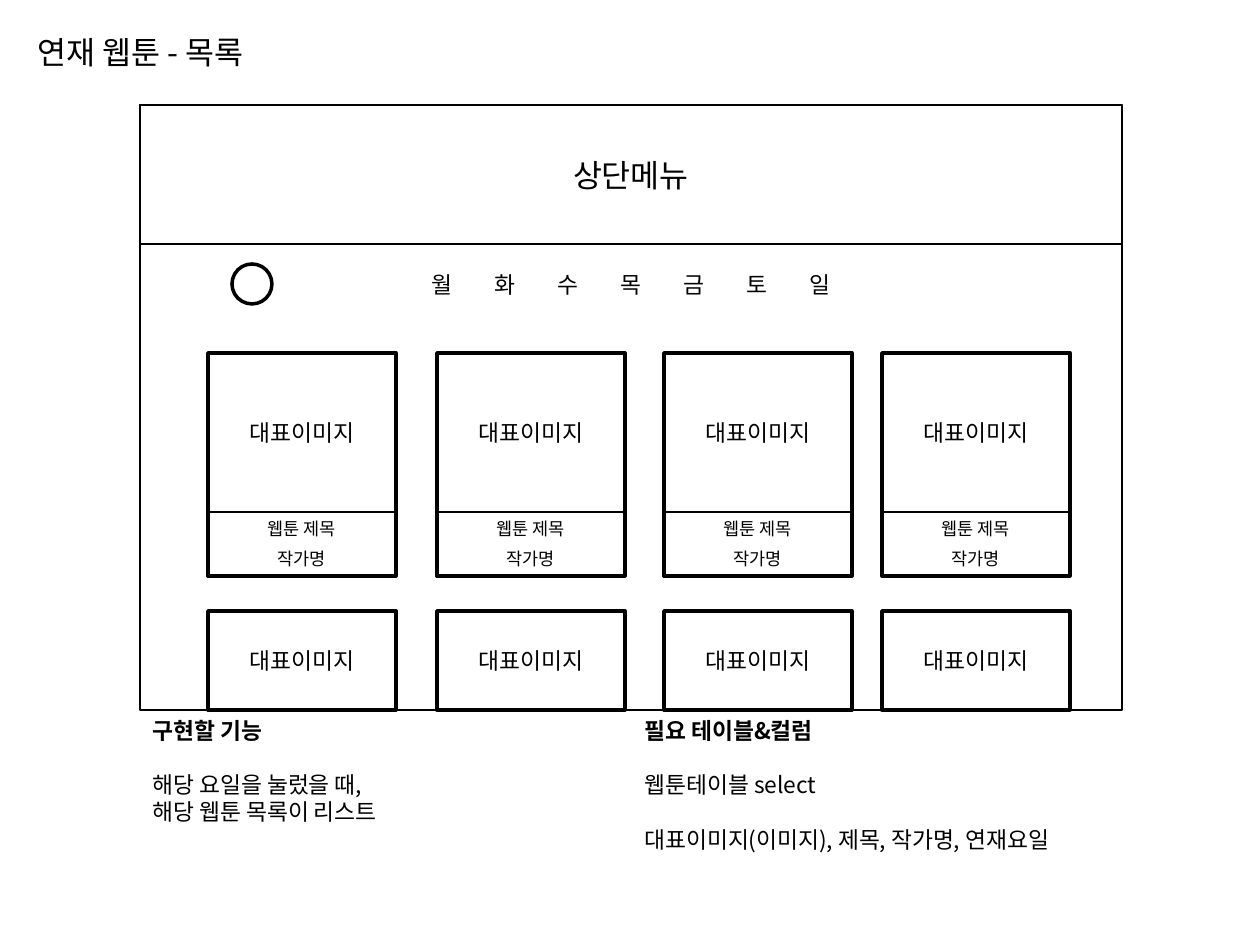
from dataclasses import dataclass

from lxml.etree import Element, SubElement
from pptx import Presentation
from pptx.dml.color import RGBColor
from pptx.enum.shapes import MSO_SHAPE
from pptx.enum.text import MSO_ANCHOR, MSO_AUTO_SIZE, PP_ALIGN
from pptx.oxml.ns import qn
from pptx.util import Inches, Pt

PX = Inches(1) / 126


@dataclass(frozen=True)
class Theme:
    """Colours, font and type sizes of the wireframe."""
    ink: RGBColor = RGBColor(0, 0, 0)
    paper: RGBColor = RGBColor(255, 255, 255)
    font: str = "Noto Sans CJK KR"
    heading: int = 18
    body: int = 13
    caption: int = 10
    leading: float = 1.2
    thin: int = 1
    thick: int = 2


theme = Theme()


def write(shape, lines, size, align=PP_ALIGN.CENTER, anchor=MSO_ANCHOR.TOP):
    """Fill a shape with (text, bold, blank lines before) paragraphs."""
    frame = shape.text_frame
    frame.word_wrap = True
    frame.auto_size = MSO_AUTO_SIZE.NONE
    frame.vertical_anchor = anchor
    frame.text = "\n".join(text for text, _, _ in lines)
    for paragraph, (_, bold, gap) in zip(frame.paragraphs, lines):
        paragraph.alignment = align
        paragraph.line_spacing = Pt(size * theme.leading)
        paragraph.space_before = Pt(size * theme.leading * gap)
        properties = paragraph._p.get_or_add_pPr()
        properties.set("marL", "0")
        properties.set("indent", "0")
        SubElement(properties, qn("a:buNone"))
        font = paragraph.font
        font.size, font.bold, font.name = Pt(size), bold, theme.font
        font.color.rgb = theme.ink
        east_asian = SubElement(properties.find(qn("a:defRPr")), qn("a:ea"))
        east_asian.set("typeface", theme.font)


def draw(kind, box, weight, filled=True):
    """Add an outlined preset shape at a pixel box."""
    shape = slide.shapes.add_shape(kind, *(int(v * PX) for v in box))
    shape.shadow.inherit = False
    if filled:
        shape.fill.solid()
        shape.fill.fore_color.rgb = theme.paper
    else:
        shape.fill.background()
    shape.line.color.rgb = theme.ink
    shape.line.width = Pt(weight)
    return shape


deck = Presentation()
deck.slide_width, deck.slide_height = Inches(10), Inches(7.5)
slide = deck.slides.add_slide(deck.slide_layouts[3])
title, features, tables = slide.placeholders

# Heading and the two notes below the page frame
notes = [
    (title, (25, 27, 417, 50), theme.heading, [("연재 웹툰 - 목록", False, 0)]),
    (features, (140, 710, 491, 178), theme.body, [
        ("구현할 기능", True, 0),
        ("해당 요일을 눌렀을 때,", False, 1),
        ("해당 웹툰 목록이 리스트", False, 0)]),
    (tables, (632, 710, 490, 178), theme.body, [
        ("필요 테이블&컬럼", True, 0),
        ("웹툰테이블 select", False, 1),
        ("대표이미지(이미지), 제목, 작가명, 연재요일", False, 1)]),
]
for note, box, size, lines in notes:
    note.left, note.top, note.width, note.height = (int(v * PX) for v in box)
    write(note, lines, size, PP_ALIGN.LEFT)

# Page frame and top menu
draw(MSO_SHAPE.RECTANGLE, (140, 105, 982, 605), theme.thin)
menu = draw(MSO_SHAPE.RECTANGLE, (140, 105, 982, 139), theme.thin)
write(menu, [("상단메뉴", False, 0)], theme.heading, anchor=MSO_ANCHOR.MIDDLE)

# Weekday tabs at equal stops, with Monday selected
days, day_pitch = "월화수목금토일", 126
weekdays = slide.shapes.add_textbox(*(int(v * PX) for v in (224, 265, 814, 40)))
write(weekdays, [("\t".join(days), False, 0)], theme.body)
day_stops = Element(qn("a:tabLst"))
for number in range(1, len(days)):
    SubElement(day_stops, qn("a:tab"),
               pos=str(int(number * day_pitch * PX)), algn="l")
day_properties = weekdays.text_frame.paragraphs[0]._p.get_or_add_pPr()
day_properties.find(qn("a:defRPr")).addprevious(day_stops)
draw(MSO_SHAPE.OVAL, (232, 264, 40, 40), theme.thick, filled=False)

# Webtoon cards: the second row is cut off by the frame
card_lefts, card_width = (208, 437, 664, 882), 188
card_rows = [
    (353, 159, 223, [("웹툰 제목", 512), ("작가명", 542)]),
    (611, 99, 99, []),
]
for top, image_height, card_height, captions in card_rows:
    for left in card_lefts:
        cover = draw(MSO_SHAPE.RECTANGLE,
                     (left, top, card_width, image_height), theme.thin)
        write(cover, [("대표이미지", False, 0)], theme.body,
              anchor=MSO_ANCHOR.MIDDLE)
        for text, caption_top in captions:
            caption = slide.shapes.add_textbox(
                *(int(v * PX) for v in (left, caption_top, card_width, 34)))
            write(caption, [(text, False, 0)], theme.caption)
        draw(MSO_SHAPE.RECTANGLE, (left, top, card_width, card_height),
             theme.thick, filled=False)

deck.save("out.pptx")
